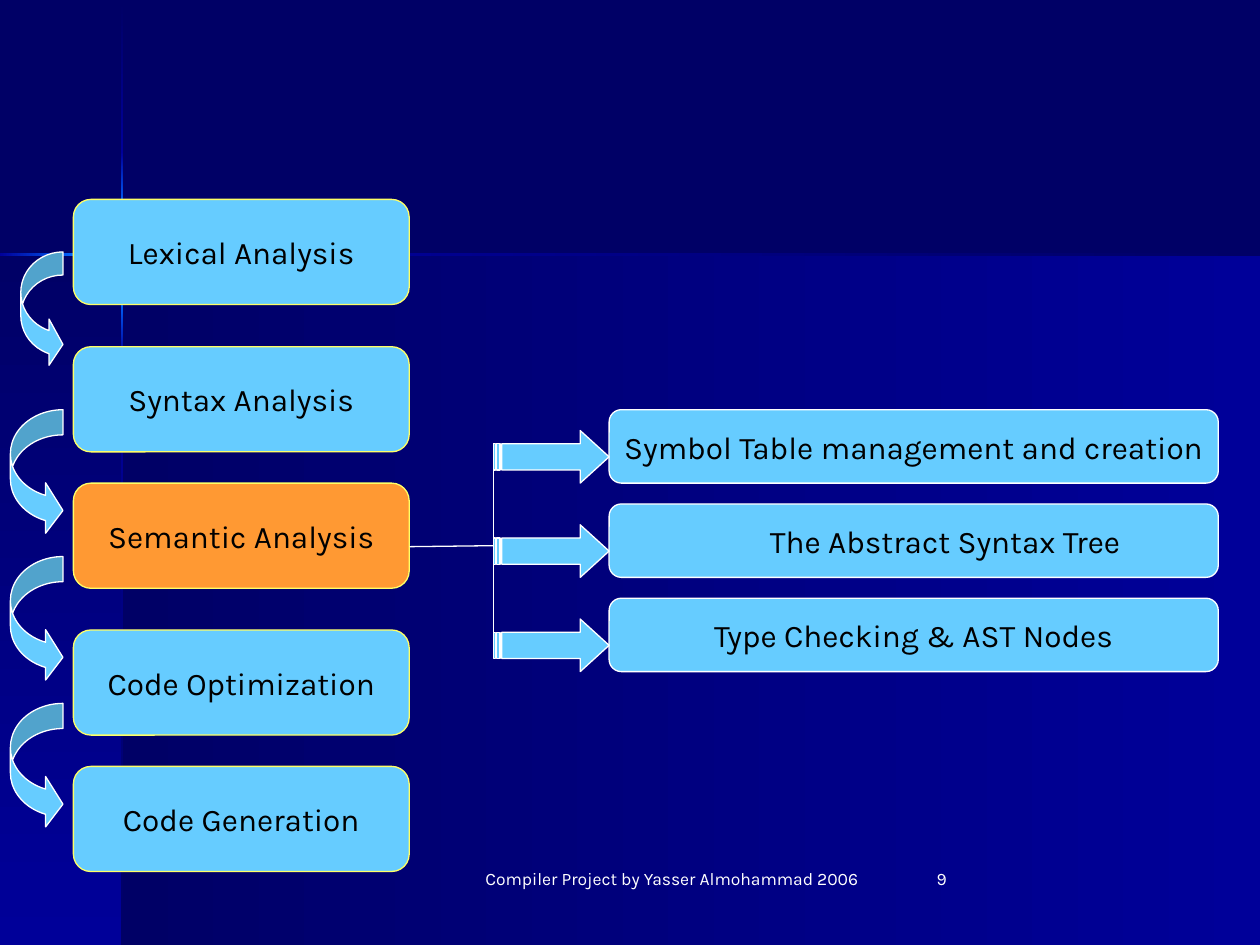
"""Build a slide of compiler phases with the parts of semantic analysis."""
from dataclasses import dataclass

import pptx
import pptx.dml.color
import pptx.enum.shapes
import pptx.enum.text
import pptx.oxml
import pptx.util

Cm = pptx.util.Cm
Kind = pptx.enum.shapes.MSO_SHAPE
Align = pptx.enum.text.PP_ALIGN
Anchor = pptx.enum.text.MSO_ANCHOR

NAVY, ROYAL, BRIGHT = "000066", "000099", "0066FF"
SKY, ORANGE, YELLOW = "66CCFF", "FF9933", "FFFF66"
WHITE, BLACK = "FFFFFF", "000000"
ACROSS, DOWN = 180, 270
EDGE = 0.75


@dataclass
class Box:
    left: float
    top: float
    width: float
    height: float


@dataclass
class Panel:
    box: Box
    start: str
    end: str
    angle: int


@dataclass
class Step:
    text: str
    top: float
    fill: str = SKY


@dataclass
class Topic:
    text: str
    indent: float = 0


PANELS = [
    Panel(Box(2.46, 5.13, 22.94, 13.92), ROYAL, NAVY, ACROSS),
    Panel(Box(0, 5.13, 2.46, 13.92), NAVY, ROYAL, DOWN),
    Panel(Box(2.44, 0.03, 0.05, 3.06), NAVY, ROYAL, DOWN),
    Panel(Box(2.44, 7.16, 0.05, 11.89), ROYAL, NAVY, DOWN),
    Panel(Box(4.5, 5.11, 20.9, 0.05), NAVY, ROYAL, ACROSS),
    Panel(Box(2.44, 6.05, 0.05, 1.11), BRIGHT, ROYAL, DOWN),
    Panel(Box(2.44, 3.07, 0.05, 1.12), ROYAL, BRIGHT, DOWN),
    Panel(Box(0, 5.11, 1.55, 0.05), BRIGHT, ROYAL, ACROSS),
]
STEPS = [
    Step("Lexical Analysis", 4.02),
    Step("Syntax Analysis", 6.99),
    Step("Semantic Analysis", 9.74, ORANGE),
    Step("Code Optimization", 12.7),
    Step("Code Generation", 15.45),
]
CURLS = [Box(0.42, 5.08, 0.85, 2.33)] + [
    Box(0.21, 8.26 + 2.96 * i, 1.06, 2.54) for i in range(3)
]
TOPICS = [
    Topic("Symbol Table management and creation"),
    Topic("The Abstract Syntax Tree", 1.27),
    Topic("Type Checking & AST Nodes"),
]


def tint(code: str) -> pptx.dml.color.RGBColor:
    return pptx.dml.color.RGBColor.from_string(code)


def place(box: Box) -> tuple:
    return Cm(box.left), Cm(box.top), Cm(box.width), Cm(box.height)


def write(shape, text: str, *, size=18, color=BLACK, align=Align.CENTER,
          anchor=Anchor.MIDDLE, wrap=False, indent=0.0) -> None:
    frame = shape.text_frame
    frame.word_wrap = wrap
    frame.vertical_anchor = anchor
    frame.margin_left = Cm(0.25 + indent)
    frame.margin_right = Cm(0.25)
    frame.margin_top = frame.margin_bottom = Cm(0.13)
    line = frame.paragraphs[0]
    line.alignment = align
    run = line.add_run()
    run.text = text
    run.font.name = "Karla"
    run.font.size = pptx.util.Pt(size)
    run.font.color.rgb = tint(color)


def draw(slide, kind, box: Box, fill=SKY, edge=WHITE, bends=()):
    shape = slide.shapes.add_shape(kind, *place(box))
    shape.shadow.inherit = False
    shape.fill.solid()
    shape.fill.fore_color.rgb = tint(fill)
    shape.line.color.rgb = tint(edge)
    shape.line.width = pptx.util.Pt(EDGE)
    for i, bend in enumerate(bends):
        shape.adjustments[i] = bend
    return shape


def shade(slide, panel: Panel) -> None:
    shape = slide.shapes.add_shape(Kind.RECTANGLE, *place(panel.box))
    shape.shadow.inherit = False
    shape.line.fill.background()
    shape.fill.gradient()
    shape.fill.gradient_angle = panel.angle
    for stop, code in zip(shape.fill.gradient_stops, (panel.start, panel.end)):
        stop.color.rgb = tint(code)


def link(slide, *ends: float) -> None:
    line = slide.shapes.add_connector(
        pptx.enum.shapes.MSO_CONNECTOR.STRAIGHT, *map(Cm, ends))
    line.line.color.rgb = tint(WHITE)
    line.line.width = pptx.util.Pt(EDGE)
    line._element.spPr.append(pptx.oxml.parse_xml(
        '<a:effectLst xmlns:a="http://schemas.openxmlformats.org/drawingml/2006/main"/>'))


def note(slide, text: str, box: Box, align) -> None:
    write(slide.shapes.add_textbox(*place(box)), text, size=10, color=WHITE,
          align=align, anchor=Anchor.TOP, wrap=True)


def main() -> None:
    deck = pptx.Presentation()
    deck.slide_width, deck.slide_height = Cm(25.4), Cm(19.05)
    slide = deck.slides.add_slide(deck.slide_layouts[6])
    slide.background.fill.solid()
    slide.background.fill.fore_color.rgb = tint(NAVY)

    for panel in PANELS:
        shade(slide, panel)
    for step in STEPS:
        box = Box(1.48, step.top, 6.77, 2.12)
        write(draw(slide, Kind.ROUNDED_RECTANGLE, box, step.fill, YELLOW), step.text)
    for curl in CURLS:
        ratio = curl.height / curl.width
        draw(slide, Kind.CURVED_RIGHT_ARROW, curl,
             bends=(0.2 * ratio, 0.4 * ratio, 0.33))

    link(slide, 9.95, 12.91, 9.95, 9.1)
    link(slide, 9.95, 11, 8.26, 11.02)
    for i, topic in enumerate(TOPICS):
        top = 8.26 + 1.9 * i
        shape = draw(slide, Kind.ROUNDED_RECTANGLE, Box(12.28, top, 12.28, 1.48))
        write(shape, topic.text, indent=topic.indent)
        draw(slide, Kind.STRIPED_RIGHT_ARROW, Box(9.95, top + 0.42, 2.33, 1.06),
             bends=(0.5, 0.55))

    note(slide, "Compiler Project by Yasser Almohammad 2006",
         Box(9.52, 17.36, 8.04, 1.27), Align.CENTER)
    note(slide, "9", Box(18.63, 17.36, 5.29, 1.27), Align.LEFT)
    deck.save("out.pptx")


if __name__ == "__main__":
    main()
